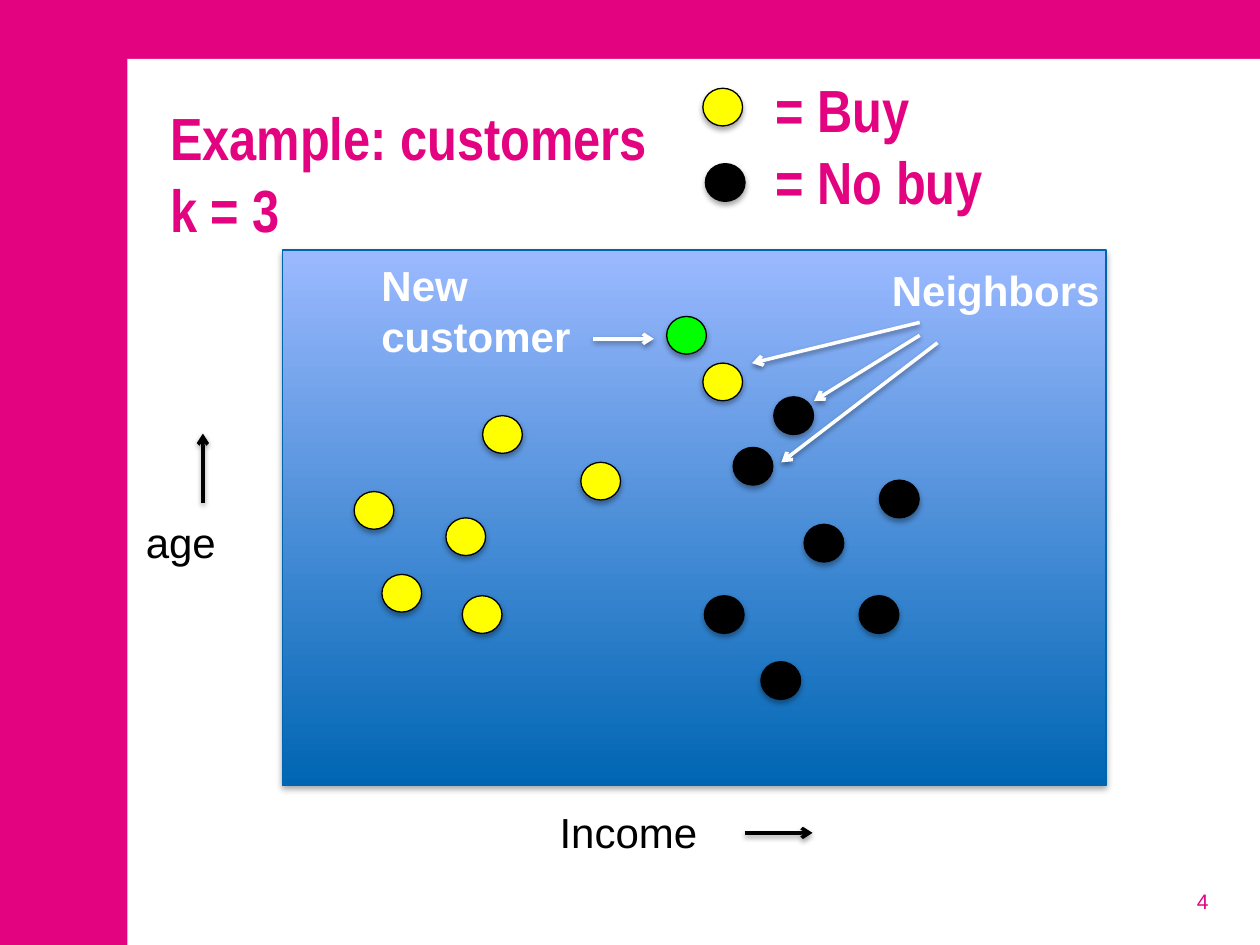
from lxml.etree import SubElement as Sub
from pptx import Presentation
from pptx.dml.color import RGBColor as Rgb
from pptx.enum.shapes import MSO_CONNECTOR as Conn, MSO_SHAPE as Kind
from pptx.enum.text import MSO_ANCHOR as Anchor, PP_ALIGN as Align
from pptx.oxml.ns import qn
from pptx.util import Cm, Pt

PINK, WHITE, BLACK = "E3027F", "FFFFFF", "000000"
PAGE = (25.4, 19.05)
PAPER = (2.57, 1.19, 22.83, 17.86)
PANEL = (5.69, 5.04, 16.61, 10.8)
SHADES = ("0066B3", "9BB9FF")
DOT = (0.8, 0.76)
DOTS = {
    "FFFF00": [(7.7, 11.58), (7.14, 9.91), (9.73, 8.38), (8.99, 10.44),
               (9.32, 12.01), (14.17, 7.32), (11.71, 9.32), (14.17, 1.78)],
    BLACK: [(15.6, 8), (14.78, 9.02), (16.21, 10.57), (17.73, 9.68),
            (17.32, 12.01), (14.2, 12.01), (15.34, 13.34), (14.22, 3.3)],
    "00FF00": [(13.44, 6.38)],
}
ARROWS = {
    BLACK: [(4.09, 10.13, 4.09, 8.74), (15.01, 16.79, 16.38, 16.79)],
    WHITE: [(18.54, 6.5, 15.16, 7.32), (18.54, 6.76, 16.41, 8.08),
            (18.9, 6.91, 15.75, 9.32), (11.96, 6.83, 13.18, 6.83)],
}
HEAD = dict(face="Arial Narrow", size=34, hue=PINK, bold=True, anchor=Anchor.MIDDLE)
AXIS = dict(hue=BLACK)
NOTE = dict(hue=WHITE, bold=True)
PAGENO = dict(size=12, hue=PINK, anchor=Anchor.MIDDLE, align=Align.RIGHT)
TEXTS = [
    ("Example: customers\vk = 3", (3.18, 1.78, 21.44, 3.4), HEAD),
    ("= Buy\n= No buy", (15.39, 1.22, 8.51, 3.4), HEAD),
    ("Income", (11.03, 16.13, 8.17, 1.27), AXIS),
    ("age", (2.69, 10.29, 4.19, 1.27), AXIS),
    ("Neighbors", (17.73, 5.21, 4.98, 1.27), NOTE),
    ("New customer", (7.44, 5.11, 4.98, 2.31), NOTE),
    ("4", (18.69, 17.65, 5.92, 1.02), PAGENO),
]


def tint(code):
    """Turn a hex string into a colour."""
    return Rgb.from_string(code)


def cast(item, alpha, dist):
    """Give an item a soft shadow that falls straight down."""
    group = Sub(item._element.spPr, qn("a:effectLst"))
    outer = Sub(group, qn("a:outerShdw"), blurRad=str(Pt(3.1)), dist=str(Pt(dist)),
                dir="5400000", rotWithShape="0")
    color = Sub(outer, qn("a:srgbClr"), val=BLACK)
    Sub(color, qn("a:alpha"), val=str(alpha * 1000))


def draw(slide, kind, box, fill=None, line=None):
    """Add a shape, with an outline and a shadow if a line colour is given."""
    shape = slide.shapes.add_shape(kind, *map(Cm, box))
    if fill:
        shape.fill.solid()
        shape.fill.fore_color.rgb = tint(fill)
    else:
        shape.fill.gradient()
        shape.fill.gradient_angle = 90
        for stop, place, code in zip(shape.fill.gradient_stops, (0, 1), SHADES):
            stop.position = place
            stop.color.rgb = tint(code)
    if line:
        shape.line.color.rgb = tint(line)
        shape.line.width = Pt(0.75)
        cast(shape, 35, 1.8)
    else:
        shape.line.fill.background()
        shape.shadow.inherit = False


def point(slide, ends, hue):
    """Add an arrow that points at its second end."""
    arrow = slide.shapes.add_connector(Conn.STRAIGHT, *map(Cm, ends))
    arrow.line.color.rgb = tint(hue)
    arrow.line.width = Pt(2)
    Sub(arrow.line._get_or_add_ln(), qn("a:tailEnd"), type="arrow")
    cast(arrow, 38, 1.6)


def write(slide, text, box, hue, face="Arial", size=24, bold=False,
          anchor=Anchor.TOP, align=Align.LEFT):
    """Add a wrapped text box in one style."""
    frame = slide.shapes.add_textbox(*map(Cm, box)).text_frame
    frame.word_wrap = True
    frame.vertical_anchor = anchor
    frame.text = text
    for para in frame.paragraphs:
        para.alignment = align
        font = para.font
        font.name, font.size, font.bold = face, Pt(size), bold
        font.color.rgb = tint(hue)


def main():
    """Build the slide and save it."""
    deck = Presentation()
    deck.slide_width, deck.slide_height = map(Cm, PAGE)
    slide = deck.slides.add_slide(deck.slide_layouts[6])
    back = slide.background.fill
    back.solid()
    back.fore_color.rgb = tint(PINK)
    draw(slide, Kind.RECTANGLE, PAPER, WHITE)
    draw(slide, Kind.RECTANGLE, PANEL, line="0064AF")
    for hue, spots in DOTS.items():
        for spot in spots:
            draw(slide, Kind.OVAL, spot + DOT, hue, BLACK)
    for hue, paths in ARROWS.items():
        for ends in paths:
            point(slide, ends, hue)
    for text, box, style in TEXTS:
        write(slide, text, box, **style)
    deck.save("out.pptx")


if __name__ == "__main__":
    main()
